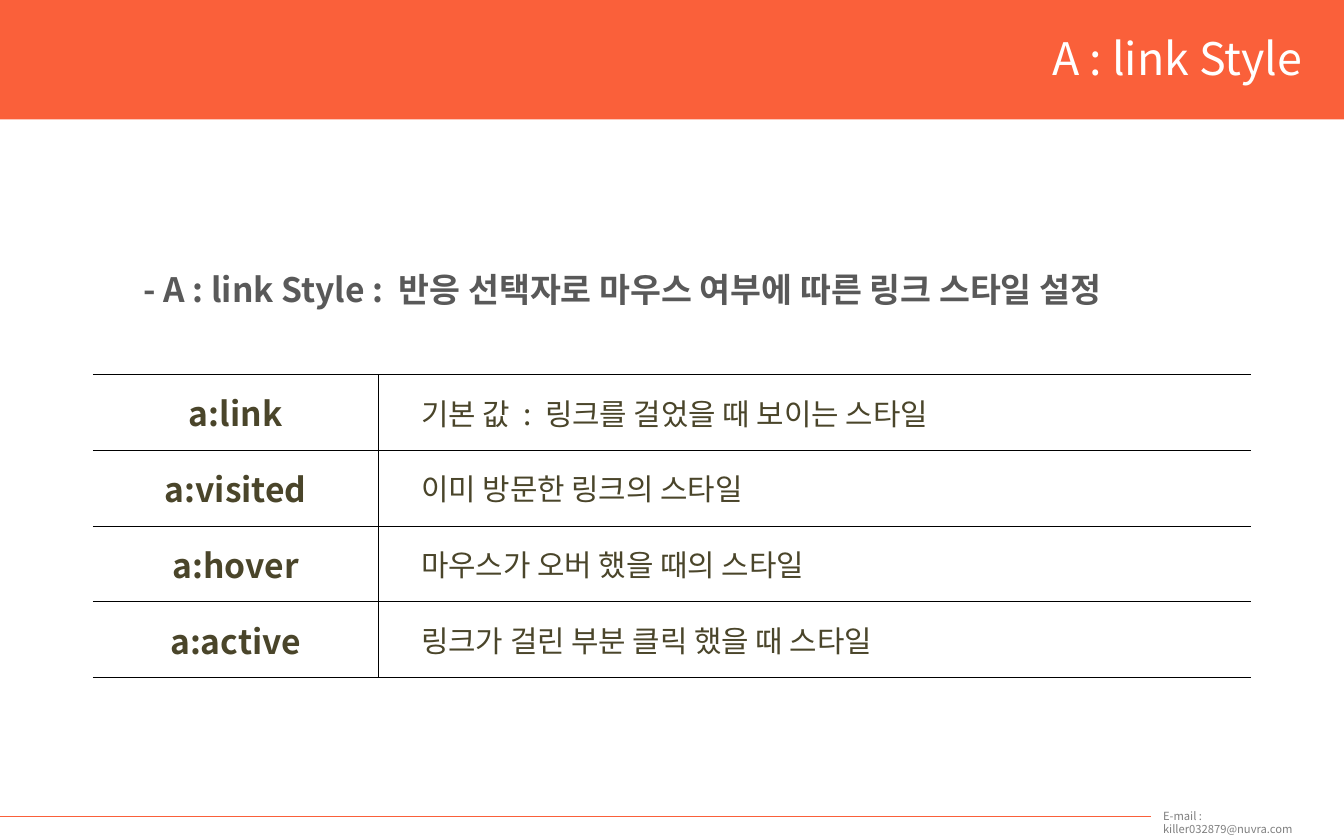
from lxml import etree
from pptx import Presentation
from pptx.dml.color import RGBColor
from pptx.enum.dml import MSO_LINE
from pptx.enum.shapes import MSO_CONNECTOR, MSO_SHAPE
from pptx.enum.text import MSO_ANCHOR, PP_ALIGN
from pptx.oxml.ns import qn
from pptx.util import Pt

LEFT, CENTER, RIGHT = PP_ALIGN.LEFT, PP_ALIGN.CENTER, PP_ALIGN.RIGHT
MIDDLE, TOP = MSO_ANCHOR.MIDDLE, MSO_ANCHOR.TOP
RECTANGLE, STRAIGHT, DOTTED = MSO_SHAPE.RECTANGLE, MSO_CONNECTOR.STRAIGHT, MSO_LINE.ROUND_DOT

TITLE = "A : link Style"
SUMMARY = "- A : link Style :  반응 선택자로 마우스 여부에 따른 링크 스타일 설정"
CONTACT = "E-mail : killer032879@nuvra.com"
SELECTORS = [
    ("a:link", "기본 값  :  링크를 걸었을 때 보이는 스타일"),
    ("a:visited", "이미 방문한 링크의 스타일"),
    ("a:hover", "마우스가 오버 했을 때의 스타일"),
    ("a:active", "링크가 걸린 부분 클릭 했을 때 스타일"),
]
COLORS = {"accent": "FA603A", "white": "FFFFFF", "gray": "808080",
          "summary": "595959", "table": "4A452A", "border": "000000"}
FONT = "Noto Sans CJK KR"
WIDTH, HEIGHT = 720, 450
BAND_HEIGHT = 64
FOOTER_TOP, FOOTER_SPLIT = 437.2, 616
TABLE_LEFT, TABLE_TOP, ROW_HEIGHT = 49.8, 200.5, 40.6
COLUMNS = [
    {"width": 152.9, "indent": 10, "size": 18, "bold": True, "align": CENTER, "borders": "TRB"},
    {"width": 467.6, "indent": 23, "size": 16, "bold": False, "align": LEFT, "borders": "LTB"},
]


def color(name):
    """Return a named palette colour."""
    return RGBColor.from_string(COLORS[name])


def write(frame, text, size, tint, bold=False, align=LEFT):
    """Fill a text frame with one formatted paragraph."""
    frame.text = text
    para = frame.paragraphs[0]
    para.alignment = align
    for span in para.runs:
        span.font.name = FONT
        span.font.size = Pt(size)
        span.font.bold = bold
        span.font.color.rgb = color(tint)
        etree.SubElement(span.font._element, qn("a:ea"), typeface=FONT)


def place(box, left, top, width, height):
    """Move and size a shape, in points."""
    box.left, box.top, box.width, box.height = Pt(left), Pt(top), Pt(width), Pt(height)


def add_text(page, text, left, top, width, height, size, tint, bold=False):
    """Add a wrapping text box."""
    box = page.shapes.add_textbox(Pt(left), Pt(top), Pt(width), Pt(height))
    box.text_frame.word_wrap = True
    write(box.text_frame, text, size, tint, bold)


def set_borders(cell, sides):
    """Draw thin lines on the given sides of a cell and none on the others."""
    properties = cell._tc.get_or_add_tcPr()
    for position, side in enumerate("LRTB"):
        line = etree.Element(qn(f"a:ln{side}"), w=str(Pt(0.25)))
        if side in sides:
            fill = etree.SubElement(line, qn("a:solidFill"))
            etree.SubElement(fill, qn("a:srgbClr"), val=COLORS["border"])
        else:
            etree.SubElement(line, qn("a:noFill"))
        properties.insert(position, line)


def add_header(page):
    """Add the coloured band with the title on it."""
    band = page.shapes.add_shape(RECTANGLE, 0, 0, Pt(WIDTH), Pt(BAND_HEIGHT))
    band.shadow.inherit = False
    band.fill.solid()
    band.fill.fore_color.rgb = color("accent")
    band.line.fill.background()
    title = page.shapes.title
    band._element.addnext(title._element)
    place(title, 504, 13, 201, 36)
    title.text_frame.vertical_anchor = TOP
    write(title.text_frame, TITLE, 24, "white", align=RIGHT)


def add_footer(page):
    """Add the rule and the contact address."""
    rule = page.shapes.add_connector(STRAIGHT, 0, Pt(FOOTER_TOP), Pt(FOOTER_SPLIT), Pt(FOOTER_TOP))
    rule.line.color.rgb = color("accent")
    rule.line.width = Pt(0.25)
    rule.line.dash_style = DOTTED
    etree.SubElement(rule._element.spPr, qn("a:effectLst"))
    add_text(page, CONTACT, FOOTER_SPLIT, 430, 100, 14.4, 6, "gray")


def add_selector_table(page):
    """Add the table of link selectors."""
    total = sum(column["width"] for column in COLUMNS)
    table = page.shapes.add_table(len(SELECTORS), len(COLUMNS), Pt(TABLE_LEFT), Pt(TABLE_TOP),
                                  Pt(total), Pt(ROW_HEIGHT * len(SELECTORS))).table
    table.first_row = table.horz_banding = False
    for index, column in enumerate(COLUMNS):
        table.columns[index].width = Pt(column["width"])
        for row, texts in enumerate(SELECTORS):
            cell = table.cell(row, index)
            cell.fill.solid()
            cell.fill.fore_color.rgb = color("white")
            cell.vertical_anchor = MIDDLE
            cell.margin_left, cell.margin_right = Pt(column["indent"]), Pt(10)
            cell.margin_top = cell.margin_bottom = Pt(5)
            write(cell.text_frame, texts[index], column["size"], "table",
                  column["bold"], column["align"])
            set_borders(cell, column["borders"])


def main():
    """Build and save the slide."""
    deck = Presentation()
    deck.slide_width, deck.slide_height = Pt(WIDTH), Pt(HEIGHT)
    page = deck.slides.add_slide(deck.slide_layouts[5])
    add_header(page)
    add_footer(page)
    add_text(page, SUMMARY, 69.8, 140.4, 600, 29, 18, "summary", True)
    add_selector_table(page)
    deck.save("out.pptx")


if __name__ == "__main__":
    main()
